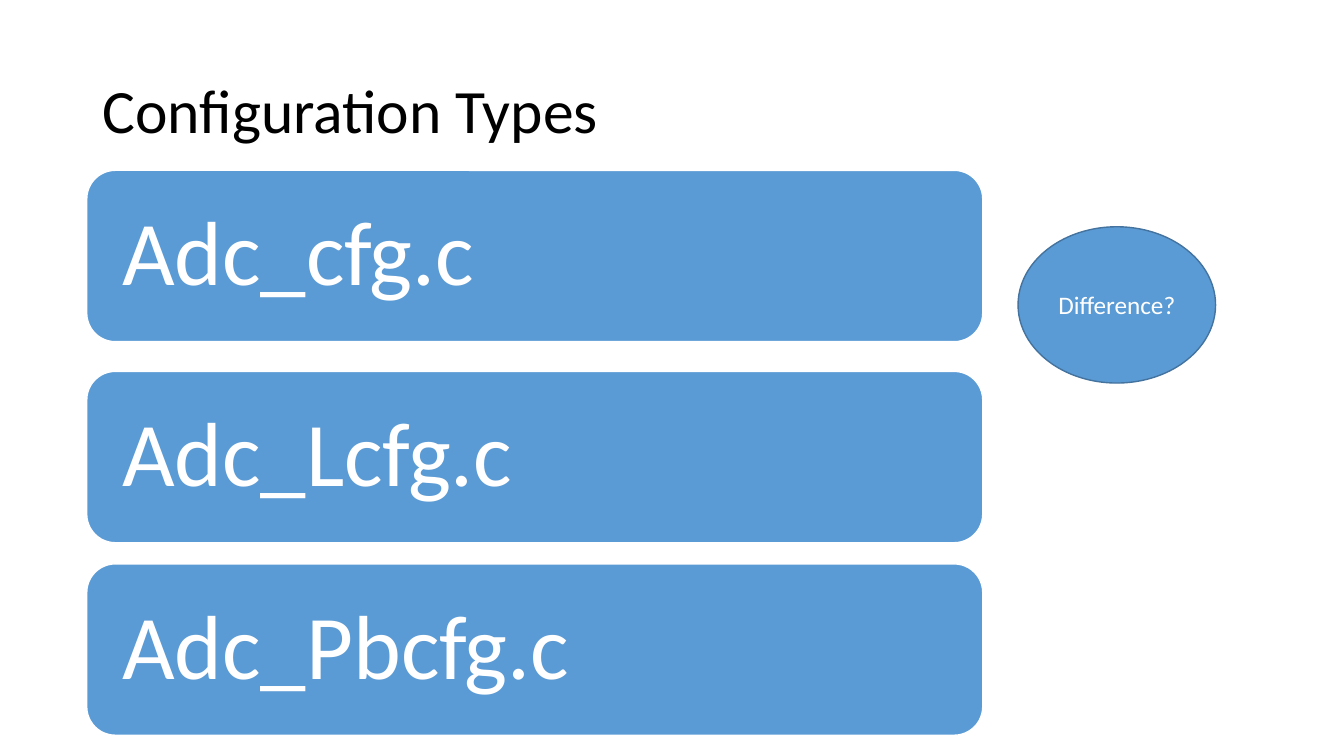
from dataclasses import dataclass

from pptx import Presentation
from pptx.dml.color import RGBColor
from pptx.enum.shapes import MSO_SHAPE
from pptx.enum.text import MSO_ANCHOR, PP_ALIGN
from pptx.shapes.autoshape import Shape
from pptx.slide import Slide
from pptx.util import Pt

ROUNDED = MSO_SHAPE.ROUNDED_RECTANGLE
ELLIPSE = MSO_SHAPE.OVAL
MIDDLE = MSO_ANCHOR.MIDDLE
LEFT, CENTER = PP_ALIGN.LEFT, PP_ALIGN.CENTER


@dataclass(frozen=True)
class Theme:
    font: str = "Calibri"
    black: RGBColor = RGBColor(0x00, 0x00, 0x00)
    white: RGBColor = RGBColor(0xFF, 0xFF, 0xFF)
    blue: RGBColor = RGBColor(0x5B, 0x9B, 0xD5)
    outline: RGBColor = RGBColor(0x43, 0x73, 0x9E)
    title_size: float = 44
    file_size: float = 65
    callout_size: float = 18


@dataclass(frozen=True)
class ConfigFile:
    name: str
    top: float


THEME = Theme()
BAR_LEFT, BAR_WIDTH, BAR_HEIGHT = 62, 640, 122.4
BAR_INSET = 19.4
CONFIG_FILES = (
    ConfigFile("Adc_cfg.c", 121.7),
    ConfigFile("Adc_Lcfg.c", 265.3),
    ConfigFile("Adc_Pbcfg.c", 402.8),
)


def set_text(s: Shape, text: str, size: float, color: RGBColor,
             align: PP_ALIGN = LEFT, spacing: float = 0.9) -> None:
    tf = s.text_frame
    tf.word_wrap = True
    tf.vertical_anchor = MIDDLE
    p = tf.paragraphs[0]
    p.text = text
    p.alignment = align
    p.line_spacing = spacing
    p.font.name = THEME.font
    p.font.size = Pt(size)
    p.font.color.rgb = color


def add_blue_shape(slide: Slide, kind: MSO_SHAPE, left: float, top: float,
                   width: float, height: float, outline: RGBColor) -> Shape:
    s = slide.shapes.add_shape(kind, Pt(left), Pt(top), Pt(width), Pt(height))
    s.shadow.inherit = False
    s.fill.solid()
    s.fill.fore_color.rgb = THEME.blue
    s.line.color.rgb = outline
    s.line.width = Pt(1)
    return s


def add_title(slide: Slide) -> None:
    s = slide.shapes.add_textbox(Pt(66), Pt(28.8), Pt(828), Pt(104.4))
    set_text(s, "Configuration Types", THEME.title_size, THEME.black)


def add_callout(slide: Slide) -> None:
    s = add_blue_shape(slide, ELLIPSE, 727.2, 162, 141.1, 111.6, THEME.outline)
    set_text(s, "Difference?", THEME.callout_size, THEME.white, CENTER, 1.0)


def add_file_bar(slide: Slide, file: ConfigFile) -> None:
    s = add_blue_shape(slide, ROUNDED, BAR_LEFT, file.top, BAR_WIDTH,
                       BAR_HEIGHT, THEME.white)
    s.text_frame.margin_left = s.text_frame.margin_right = Pt(BAR_INSET)
    set_text(s, file.name, THEME.file_size, THEME.white)


def main() -> None:
    prs = Presentation()
    prs.slide_width, prs.slide_height = Pt(960), Pt(540)
    slide = prs.slides.add_slide(prs.slide_layouts[6])
    add_title(slide)
    add_callout(slide)
    for file in CONFIG_FILES:
        add_file_bar(slide, file)
    prs.save("out.pptx")


if __name__ == "__main__":
    main()
